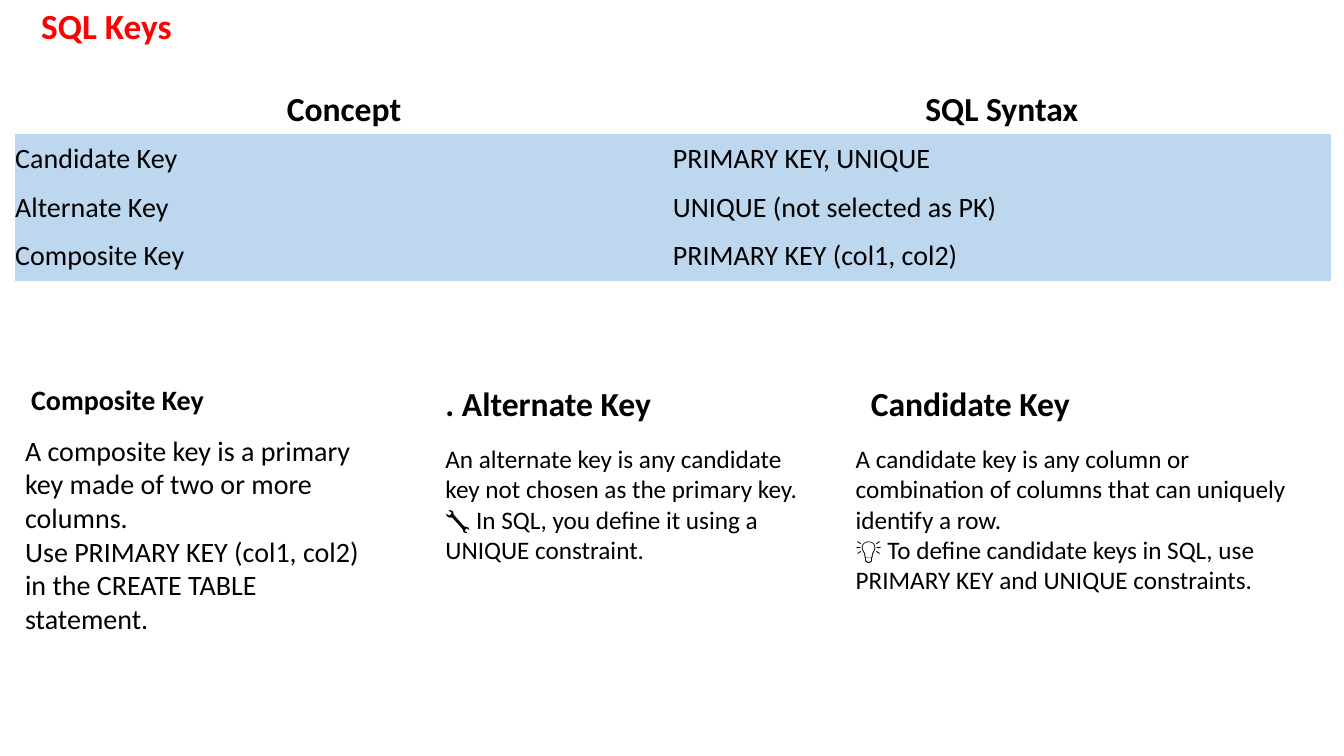
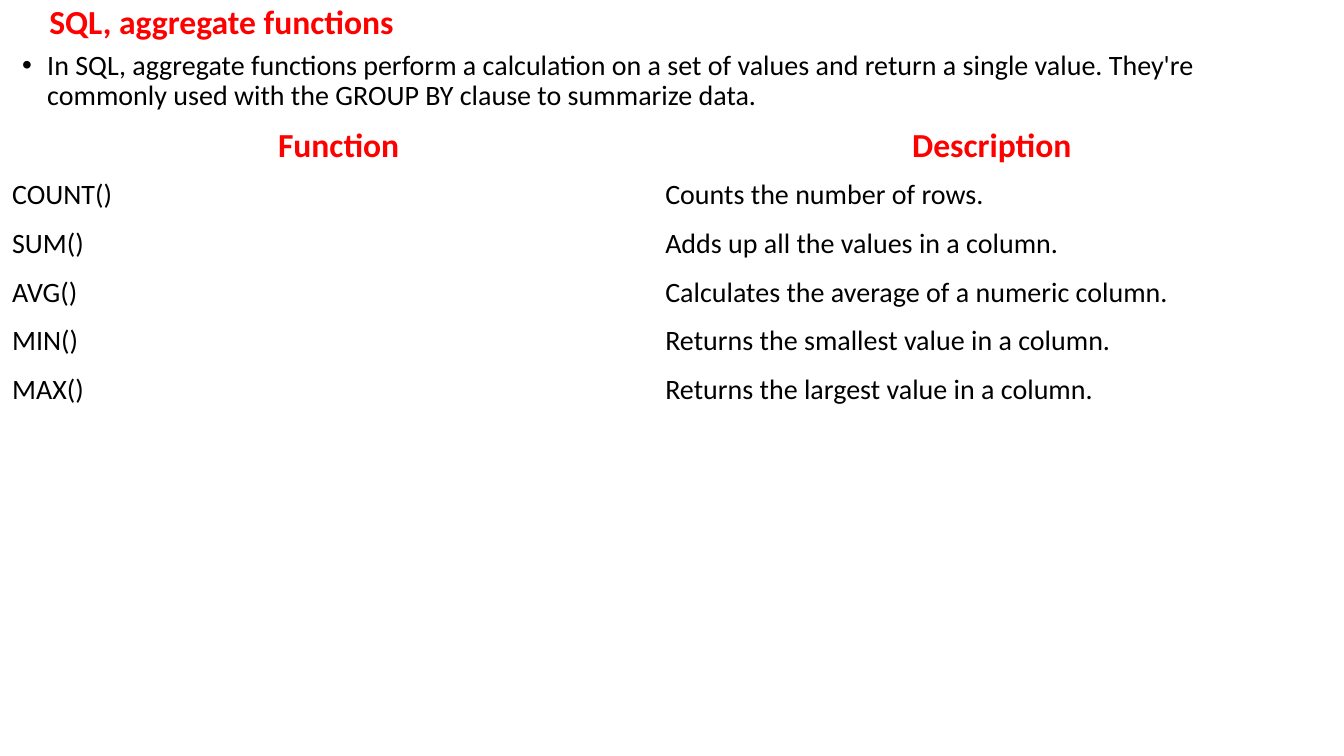
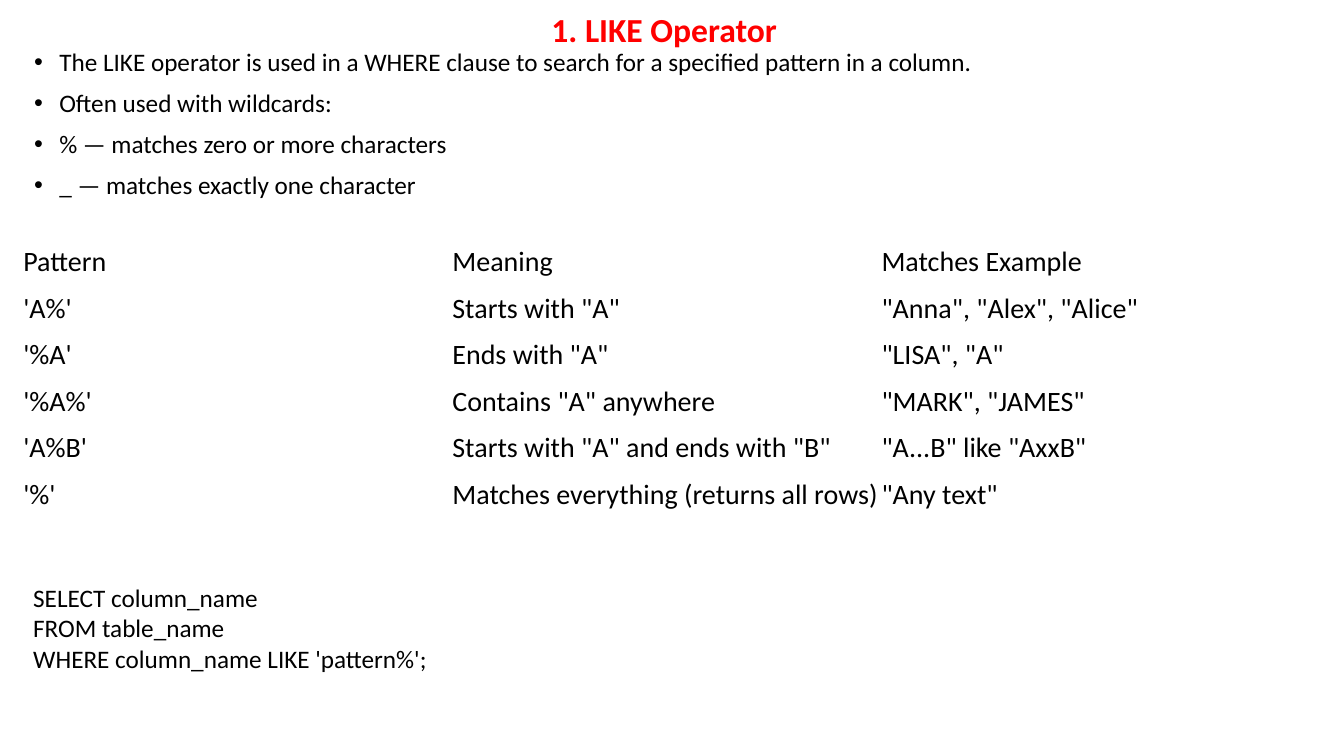
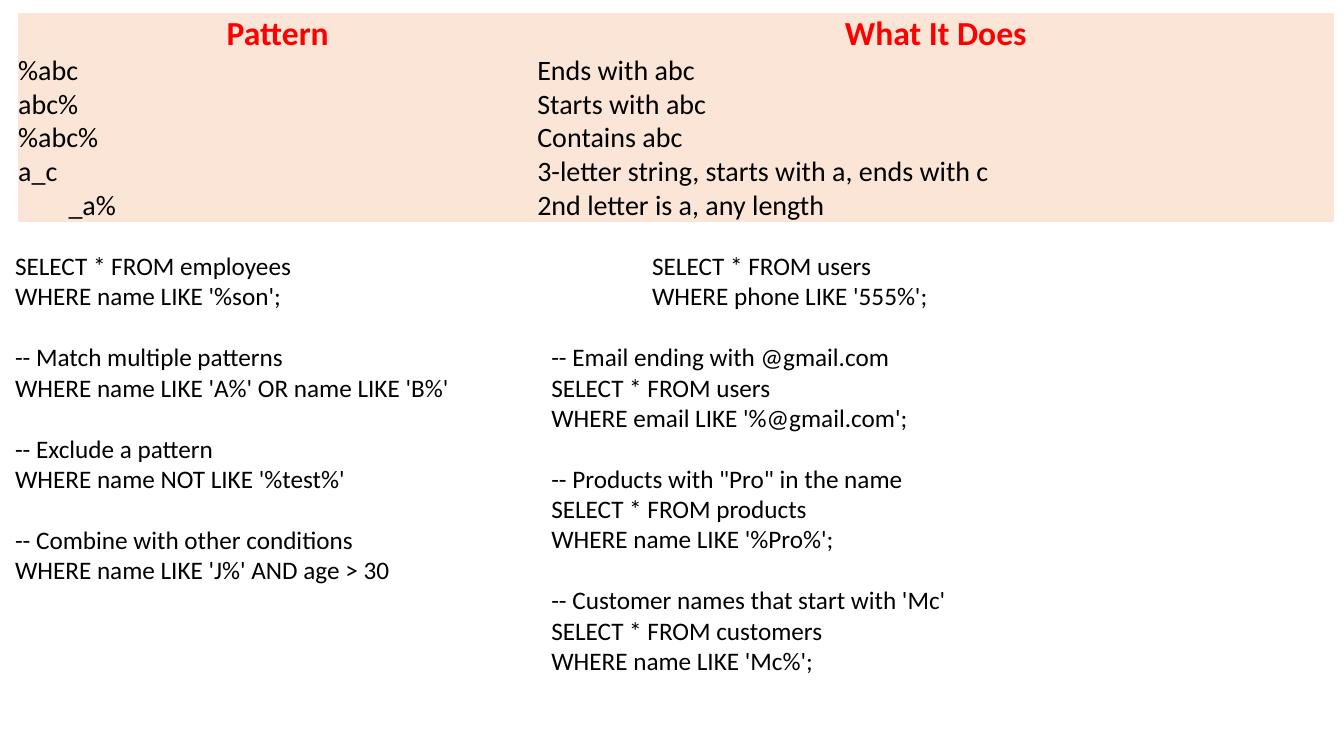
from pptx import Presentation
from pptx.dml.color import RGBColor
from pptx.enum.text import MSO_VERTICAL_ANCHOR as Anchor, PP_PARAGRAPH_ALIGNMENT as Align
from pptx.oxml.ns import qn
from pptx.util import Inches, Pt
from lxml.etree import SubElement

COLORS = {"accent": "FF0000", "text": "000000", "blue": "BDD7EE", "peach": "FBE5D6"}
FONT = "Calibri"
PLAIN_TABLE = "{2D5ABB26-0587-4C30-8999-92F81FD0307C}"
GRID = 100
LINE_HEIGHT = 1.22


class Deck:
    def __init__(self):
        self.presentation = Presentation()
        self.presentation.slide_width = Inches(13.333)
        self.presentation.slide_height = Inches(7.5)
        self.slide = None

    def new_slide(self):
        self.slide = self.presentation.slides.add_slide(self.presentation.slide_layouts[6])

    def columns(self, count):
        return int(self.presentation.slide_width * count / GRID)

    def rows(self, count):
        return int(self.presentation.slide_height * count / GRID)

    def style(self, paragraph, size, color="text", bold=False):
        for run in paragraph.runs:
            run.font.name = FONT
            run.font.size = Pt(size)
            run.font.bold = bold
            run.font.color.rgb = RGBColor.from_string(COLORS[color])

    def indent(self, paragraph, left, first=0):
        properties = paragraph._p.get_or_add_pPr()
        properties.set("marL", str(Inches(left)))
        properties.set("indent", str(Inches(first)))
        return properties

    def text_box(self, box, text):
        left, top, width, height = box
        shape = self.slide.shapes.add_textbox(
            self.columns(left), self.rows(top), self.columns(width), self.rows(height))
        text_frame = shape.text_frame
        text_frame.word_wrap = True
        text_frame.text = text
        return text_frame

    def title(self, box, text, size=24, align=Align.LEFT):
        text_frame = self.text_box(box, text)
        text_frame.vertical_anchor = Anchor.MIDDLE
        paragraph = text_frame.paragraphs[0]
        paragraph.alignment = align
        paragraph.line_spacing = 0.9
        self.style(paragraph, size, "accent", True)

    def bullets(self, box, items, size):
        for index, paragraph in enumerate(self.text_box(box, "\n".join(items)).paragraphs):
            paragraph.line_spacing = 0.9
            if index:
                paragraph.space_before = Pt(10)
            properties = self.indent(paragraph, 0.25, -0.25)
            SubElement(properties, qn("a:buFont")).set("typeface", "Arial")
            SubElement(properties, qn("a:buChar")).set("char", "•")
            self.style(paragraph, size)

    def card(self, box, heading, lines, heading_size, size, heading_indent=0):
        text_frame = self.text_box(box, "\n".join([heading, *lines]))
        first, *others = text_frame.paragraphs
        first.space_after = Pt(heading_size * 0.6)
        self.indent(first, heading_indent)
        self.style(first, heading_size, bold=True)
        for paragraph in others:
            self.style(paragraph, size)

    def code(self, box, *blocks, size=18):
        text_frame = self.text_box(box, "\n".join(blocks))
        paragraphs = iter(text_frame.paragraphs)
        for number, block in enumerate(blocks):
            for index, _ in enumerate(block.split("\n")):
                paragraph = next(paragraphs)
                if number and index == 0:
                    paragraph.space_before = Pt(round(size * LINE_HEIGHT))
                self.style(paragraph, size)

    def table(self, left, top, widths, heights, records, header=None, header_fill=None, fill=None):
        shape = self.slide.shapes.add_table(
            len(heights), len(widths), self.columns(left), self.rows(top),
            self.columns(sum(widths)), self.rows(sum(heights)))
        table = shape.table
        table.first_row = table.horz_banding = False
        table._tbl.tblPr.find(qn("a:tableStyleId")).text = PLAIN_TABLE
        for column, width in zip(table.columns, widths):
            column.width = self.columns(width)
        for row, height, record, index in zip(table.rows, heights, records, range(len(records))):
            row.height = self.rows(height)
            is_header = header is not None and index == 0
            for cell, text in zip(row.cells, record):
                self.cell(cell, text, header if is_header else None,
                          header_fill if is_header else fill)
        return table

    def cell(self, cell, text, header, fill):
        cell.margin_left = cell.margin_right = cell.margin_top = cell.margin_bottom = 0
        cell.vertical_anchor = Anchor.MIDDLE
        if fill:
            cell.fill.solid()
            cell.fill.fore_color.rgb = RGBColor.from_string(COLORS[fill])
        else:
            cell.fill.background()
        paragraph = cell.text_frame.paragraphs[0]
        paragraph.text = text
        if header:
            paragraph.alignment = Align.CENTER
            self.style(paragraph, 24, header, True)
        else:
            self.style(paragraph, 20)


def keys_slide(deck):
    deck.new_slide()
    deck.title((2.33, 0, 86.25, 7.33), "SQL Keys", 25.2)
    deck.table(1.13, 11.33, [48.94] * 2, [6.45] * 4, [
        ("Concept", "SQL Syntax"),
        ("Candidate Key", "PRIMARY KEY, UNIQUE"),
        ("Alternate Key", "UNIQUE (not selected as PK)"),
        ("Composite Key", "PRIMARY KEY (col1, col2)"),
    ], header="text", fill="blue")
    deck.card((1.13, 50, 27, 45.6), "Composite Key", [
        "A composite key is a primary key made of two or more columns.",
        "Use PRIMARY KEY (col1, col2) in the CREATE TABLE statement.",
    ], 20, 20, 0.06)
    deck.card((32.4, 50, 29.4, 38.4), ". Alternate Key", [
        "An alternate key is any candidate key not chosen as the primary key.",
        "🔧 In SQL, you define it using a UNIQUE constraint.",
    ], 24, 18)
    deck.card((62.93, 50, 36.08, 46.4), "Candidate Key", [
        "A candidate key is any column or combination of columns that can uniquely identify a row.",
        "💡 To define candidate keys in SQL, use PRIMARY KEY and UNIQUE constraints.",
    ], 24, 18, 0.15)


def aggregates_slide(deck):
    deck.new_slide()
    deck.title((2.93, 0, 86.25, 6.13), "SQL, aggregate functions")
    deck.bullets((0.9, 6.13, 98.03, 10.13), [
        "In SQL, aggregate functions perform a calculation on a set of values and return a single "
        "value. They're commonly used with the GROUP BY clause to summarize data.",
    ], 20)
    deck.table(0.9, 16.13, [48.6] * 2, [6.45] * 6, [
        ("Function", "Description"),
        ("COUNT()", "Counts the number of rows."),
        ("SUM()", "Adds up all the values in a column."),
        ("AVG()", "Calculates the average of a numeric column."),
        ("MIN()", "Returns the smallest value in a column."),
        ("MAX()", "Returns the largest value in a column."),
    ], header="accent")


def like_slide(deck):
    deck.new_slide()
    deck.title((0, 0, 98.85, 8.27), "1. LIKE Operator", align=Align.CENTER)
    deck.bullets((1.8, 5.87, 86.25, 63.47), [
        "The LIKE operator is used in a WHERE clause to search for a specified pattern in a column.",
        "Often used with wildcards:",
        "% — matches zero or more characters",
        "_ — matches exactly one character",
    ], 18)
    deck.table(1.73, 31.6, [31.93] * 3, [6.15] * 6, [
        ("Pattern", "Meaning", "Matches Example"),
        ("'A%'", 'Starts with "A"', '"Anna", "Alex", "Alice"'),
        ("'%A'", 'Ends with "A"', '"LISA", "A"'),
        ("'%A%'", 'Contains "A" anywhere', '"MARK", "JAMES"'),
        ("'A%B'", 'Starts with "A" and ends with "B"', '"A...B" like "AxxB"'),
        ("'%'", "Matches everything (returns all rows)", '"Any text"'),
    ])
    deck.code((1.73, 76.4, 50.03, 17.47),
              "SELECT column_name\nFROM table_name\nWHERE column_name LIKE 'pattern%';")


def patterns_slide(deck):
    deck.new_slide()
    table = deck.table(1.35, 1.73, [38.63, 59.3], [5.38] + [4.44] * 5, [
        ("Pattern", "What It Does"),
        ("%abc", "Ends with abc"),
        ("abc%", "Starts with abc"),
        ("%abc%", "Contains abc"),
        ("a_c", "3-letter string, starts with a, ends with c"),
        ("_a%", "2nd letter is a, any length"),
    ], header="accent", header_fill="peach", fill="peach")
    deck.indent(table.cell(5, 0).text_frame.paragraphs[0], 0.5)
    upper, lower = 32.4, 44.53
    deck.code((0.38, upper, 43.35, 9.07),
              "SELECT * FROM employees\nWHERE name LIKE '%son';")
    deck.code((0.38, lower, 37.95, 51.87),
              "-- Match multiple patterns\nWHERE name LIKE 'A%' OR name LIKE 'B%'",
              "-- Exclude a pattern\nWHERE name NOT LIKE '%test%'",
              "-- Combine with other conditions\nWHERE name LIKE 'J%' AND age > 30")
    deck.code((47.78, upper, 50.03, 9.07),
              "SELECT * FROM users\nWHERE phone LIKE '555%';")
    deck.code((40.28, lower, 57.53, 49.73),
              "-- Email ending with @gmail.com\nSELECT * FROM users\nWHERE email LIKE '%@gmail.com';",
              "-- Products with \"Pro\" in the name\nSELECT * FROM products\nWHERE name LIKE '%Pro%';",
              "-- Customer names that start with 'Mc'\nSELECT * FROM customers\nWHERE name LIKE 'Mc%';")


def main():
    deck = Deck()
    for build in (keys_slide, aggregates_slide, like_slide, patterns_slide):
        build(deck)
    deck.presentation.save("out.pptx")


if __name__ == "__main__":
    main()
